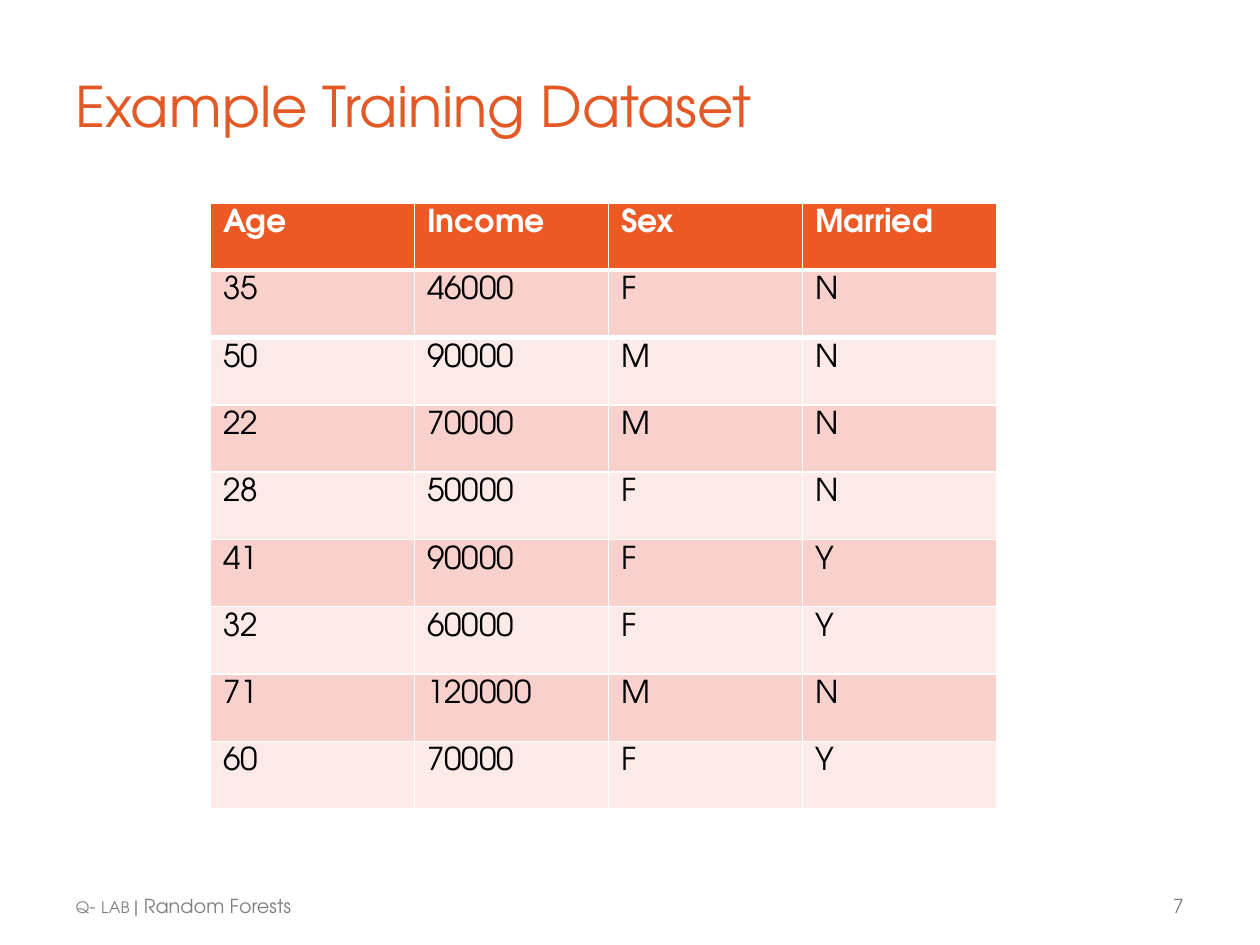
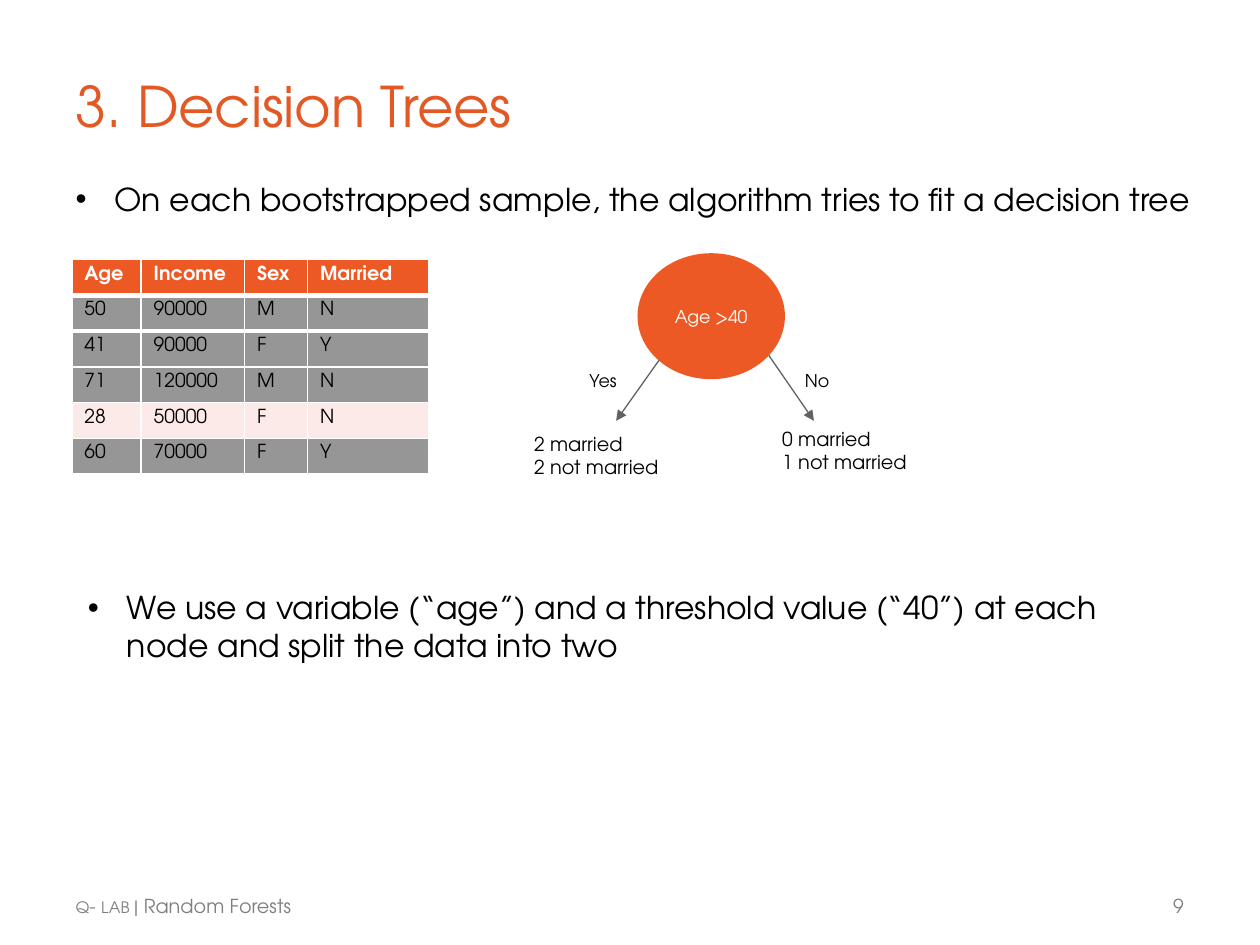
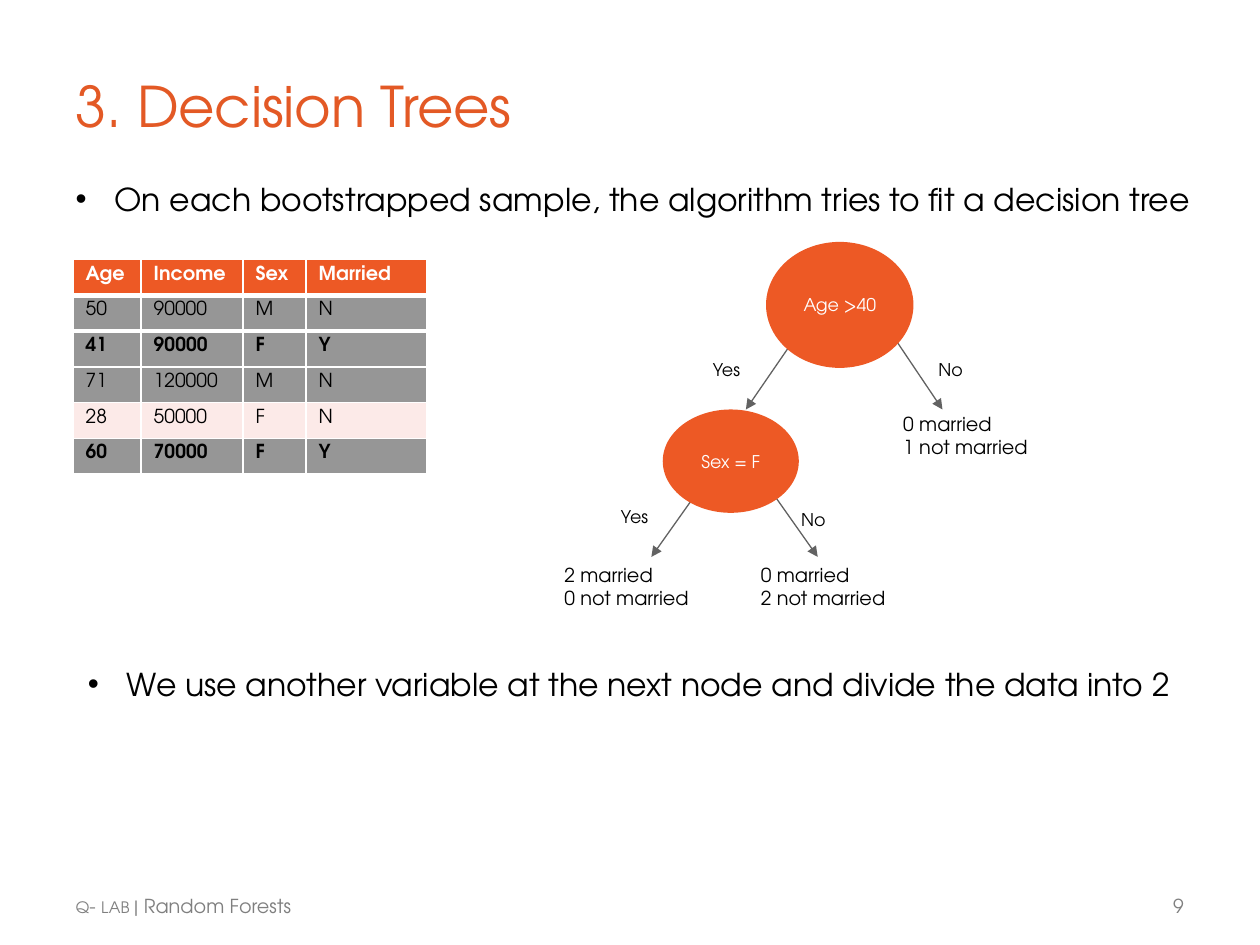
import pptx
import pptx.util
import pptx.dml.color
import pptx.enum.shapes
import pptx.enum.text
import pptx.oxml.ns
from dataclasses import dataclass
from lxml import etree

Inches = pptx.util.Inches
qn = pptx.oxml.ns.qn


@dataclass(frozen=True)
class Theme:
    font: str = "TeX Gyre Adventor"
    title: str = "E35925"
    main: str = "ED5925"
    dark: str = "F8D1CD"
    light: str = "FCEAE8"
    split: str = "969696"
    line: str = "626262"
    foot: str = "7F7F7F"
    ink: str = "000000"
    white: str = "FFFFFF"
    head: int = 32
    body: int = 18
    note: int = 11
    tag: int = 10
    tiny: int = 9


T = Theme()
FLAT = (0.01, 0.01, 0, 0)
PAD = (0.1, 0.05, 0.1, 0.05)

FOOT = [("Q", T.tiny), ("- ", T.note), ("LAB ", T.tiny), ("| Random Forests", T.note)]
HEADS = ("Age", "Income", "Sex", "Married")
DATA = [
    ("35", "46000", "F", "N"),
    ("50", "90000", "M", "N"),
    ("22", "70000", "M", "N"),
    ("28", "50000", "F", "N"),
    ("41", "90000", "F", "Y"),
    ("32", "60000", "F", "Y"),
    ("71", "120000", "M", "N"),
    ("60", "70000", "F", "Y"),
]
SAMPLE = [DATA[i] for i in (1, 4, 6, 3, 7)]
INTRO = "On each bootstrapped sample, the algorithm tries to fit a decision tree"

TREES = [
    {
        "left": 0.57,
        "cols": (0.55, 0.82, 0.5, 0.96),
        "bold": (),
        "nodes": [("Age >40", 5.06, 2.01, 1.17, 1)],
        "arrows": [(6.06, 2.76, 6.46, 3.34), (5.23, 2.86, 4.89, 3.34)],
        "tags": [("Yes", 4.58, 2.89), ("No", 6.29, 2.89)],
        "leaves": [("2 married\n2 not married", 4.14, 3.38),
                   ("0 married\n1 not married", 6.11, 3.34)],
        "point": ("We use a variable (“age”) and a threshold value (“40”) at each node "
                  "and split the data into two", 4.62, 1.01),
    },
    {
        "left": 0.58,
        "cols": (0.54, 0.81, 0.5, 0.96),
        "bold": ("41", "60"),
        "nodes": [("Age >40", 6.08, 1.92, 1.17, 1), ("Sex = F", 5.26, 3.25, 1.08, 0.82)],
        "arrows": [(7.09, 2.67, 7.48, 3.25), (6.25, 2.77, 5.92, 3.25),
                   (6.13, 3.91, 6.49, 4.42), (5.51, 3.94, 5.17, 4.42)],
        "tags": [("Yes", 5.56, 2.8), ("No", 7.35, 2.8),
                 ("Yes", 4.83, 3.97), ("No", 6.26, 3.99)],
        "leaves": [("2 married\n0 not married", 4.38, 4.42),
                   ("0 married\n2 not married", 5.94, 4.42),
                   ("0 married\n1 not married", 7.07, 3.22)],
        "point": ("We use another variable at the next node and divide the data into 2",
                  5.23, 0.71),
    },
]


def rgb(code):
    return pptx.dml.color.RGBColor.from_string(code)


def style(run, size, color, bold=False):
    run.font.name = T.font
    run.font.size = pptx.util.Pt(size)
    run.font.color.rgb = rgb(color)
    run.font.bold = bold


def paint(frame, size, color, bold=False):
    for para in frame.paragraphs:
        for run in para.runs:
            style(run, size, color, bold)


def inset(part, sides):
    part.margin_left, part.margin_top, part.margin_right, part.margin_bottom = map(Inches, sides)


def write(slide, text, box, size, color=T.ink, pad=PAD):
    frame = slide.shapes.add_textbox(*map(Inches, box)).text_frame
    frame.word_wrap = True
    frame.auto_size = pptx.enum.text.MSO_AUTO_SIZE.SHAPE_TO_FIT_TEXT
    inset(frame, pad)
    frame.text = text
    paint(frame, size, color)
    return frame


def bullet(slide, text, box, pad=PAD):
    frame = write(slide, text, box, T.body, pad=pad)
    props = frame.paragraphs[0]._p.get_or_add_pPr()
    hang = Inches(0.31)
    props.set("marL", str(hang))
    props.set("indent", str(-hang))
    etree.SubElement(props, qn("a:buFont"), typeface="Arial")
    etree.SubElement(props, qn("a:buChar"), char="•")


def rule(cell, side, width):
    edge = etree.Element(qn("a:" + side), w=str(pptx.util.Pt(width)))
    fill = etree.SubElement(edge, qn("a:solidFill"))
    etree.SubElement(fill, qn("a:srgbClr"), val=T.white)
    cell._tc.get_or_add_tcPr().insert(0, edge)


def grid(slide, left, top, cols, high, rows, size, fills, bold=()):
    shape = slide.shapes.add_table(len(rows) + 1, len(cols), Inches(left), Inches(top),
                                   Inches(sum(cols)), Inches(high))
    table = shape.table
    table.horz_banding = False
    for col, wide in zip(table.columns, cols):
        col.width = Inches(wide)
    for r, (row, fill) in enumerate(zip([HEADS] + rows, [T.main] + fills)):
        table.rows[r].height = Inches(high / (len(rows) + 1))
        for c, text in enumerate(row):
            cell = table.cell(r, c)
            cell.fill.solid()
            cell.fill.fore_color.rgb = rgb(fill)
            inset(cell, PAD)
            cell.text_frame.text = text
            paint(cell.text_frame, size, T.ink if r else T.white, r == 0 or row[0] in bold)
            if r < 2:
                rule(cell, "lnT" if r else "lnB", 3)


def arrow(slide, ends):
    link = slide.shapes.add_connector(pptx.enum.shapes.MSO_CONNECTOR.STRAIGHT, *map(Inches, ends))
    link.line.color.rgb = rgb(T.line)
    link.line.width = pptx.util.Pt(0.75)
    props = link._element.spPr
    etree.SubElement(props.find(qn("a:ln")), qn("a:tailEnd"), type="triangle")
    etree.SubElement(props, qn("a:effectLst"))


def node(slide, text, *box):
    oval = slide.shapes.add_shape(pptx.enum.shapes.MSO_SHAPE.OVAL, *map(Inches, box))
    oval.shadow.inherit = False
    oval.fill.solid()
    oval.fill.fore_color.rgb = rgb(T.main)
    oval.line.fill.background()
    frame = oval.text_frame
    frame.text = text
    frame.vertical_anchor = pptx.enum.text.MSO_ANCHOR.MIDDLE
    frame.paragraphs[0].alignment = pptx.enum.text.PP_ALIGN.CENTER
    paint(frame, T.tag, T.white)


def start(deck, title, page):
    slide = deck.slides.add_slide(deck.slide_layouts[6])
    head = write(slide, title, (0.59, 0.56, 9.08, 0.55), T.head, T.title, FLAT)
    head.paragraphs[0].runs[0]._r.get_or_add_rPr().set("spc", "-10")
    foot = write(slide, "", (0.59, 7.09, 2.12, 0.2), T.note, T.foot, FLAT)
    for text, size in FOOT:
        run = foot.paragraphs[0].add_run()
        run.text = text
        style(run, size, T.foot)
    write(slide, page, (9.3, 7.09, 0.11, 0.2), T.note, T.foot, FLAT)
    return slide


def tree(deck, plan):
    slide = start(deck, "3. Decision Trees", "9")
    bullet(slide, INTRO, (0.6, 1.25, 8.91, 0.48), (0, 0.18, 0, 0))
    fills = [T.split if int(row[0]) > 40 else T.light for row in SAMPLE]
    grid(slide, plan["left"], 2.06, plan["cols"], 1.7, SAMPLE, T.note, fills, plan["bold"])
    for ends in plan["arrows"]:
        arrow(slide, ends)
    for item in plan["nodes"]:
        node(slide, *item)
    for text, left, top in plan["tags"]:
        write(slide, text, (left, top, 0.6, 0.27), T.tag)
    for text, left, top in plan["leaves"]:
        write(slide, text, (left, top, 1.28, 0.47), T.note)
    text, top, high = plan["point"]
    bullet(slide, text, (0.6, top, 8.84, high))


def main():
    deck = pptx.Presentation()
    deck.slide_width, deck.slide_height = Inches(10), Inches(7.5)
    slide = start(deck, "Example Training Dataset", "7")
    fills = [T.light if i % 2 else T.dark for i in range(len(DATA))]
    grid(slide, 1.67, 1.61, (1.62, 1.54, 1.54, 1.54), 4.81, DATA, T.body, fills)
    for plan in TREES:
        tree(deck, plan)
    deck.save("out.pptx")


if __name__ == "__main__":
    main()
